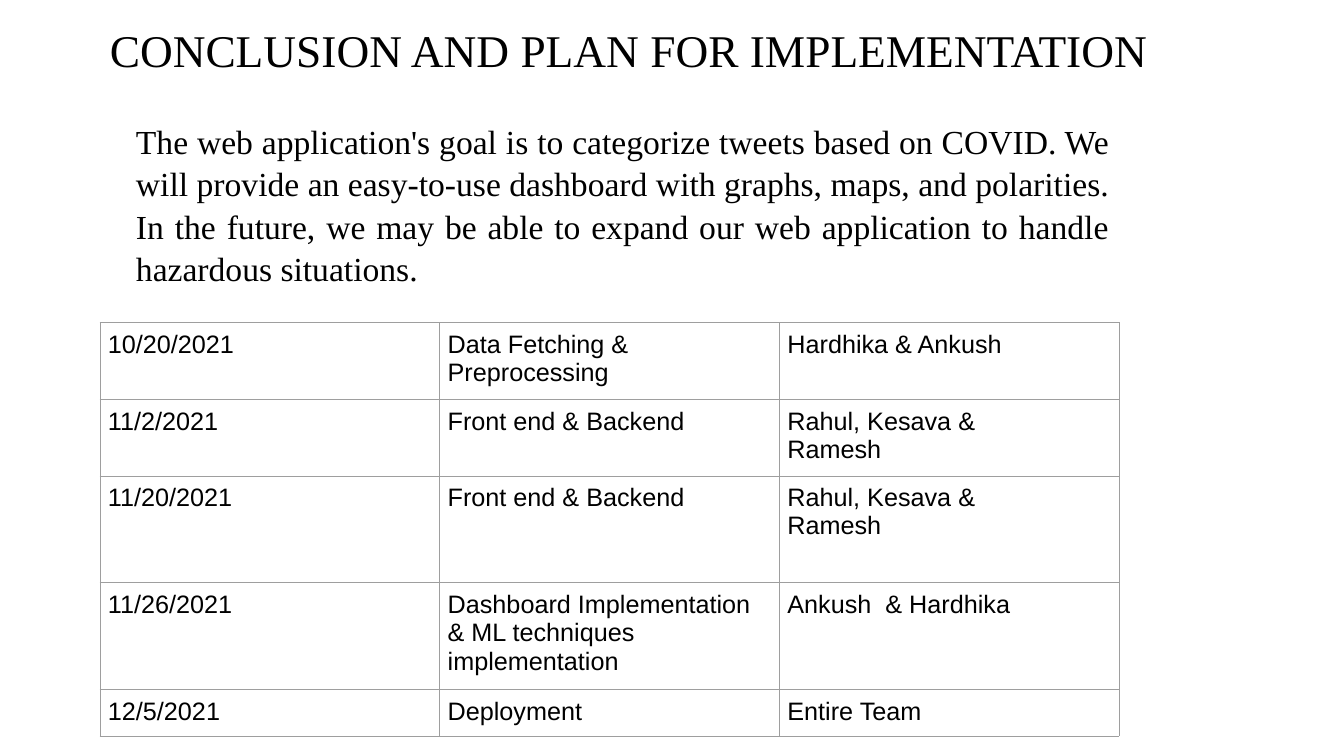
from dataclasses import dataclass

from lxml import etree
from pptx import Presentation
from pptx import util as u
from pptx.dml.color import RGBColor
from pptx.enum import text
from pptx.oxml import ns


@dataclass(frozen=True)
class Theme:
    ink: str = "000000"
    border: str = "9E9E9E"
    border_width: float = 0.6
    serif: str = "Times New Roman"
    sans: str = "Arial"
    title_size: float = 32.4
    body_size: float = 24
    cell_size: float = 18
    cell_inset: float = 0.08


@dataclass(frozen=True)
class Area:
    """Percentages of the slide's width and height."""
    left: float
    top: float
    width: float
    height: float


@dataclass(frozen=True)
class TextBlock:
    area: Area
    words: str
    size: float
    spacing: float
    align: text.PP_ALIGN
    anchor: text.MSO_ANCHOR


@dataclass(frozen=True)
class Milestone:
    height: float  # percentage of the slide's height
    date: str
    task: str
    owners: str


THEME = Theme()
SLIDE_W, SLIDE_H = u.Inches(13.33), u.Inches(7.5)

BLOCKS = [
    TextBlock(Area(7.43, 4.8, 85.75, 4.27), "CONCLUSION AND PLAN FOR IMPLEMENTATION",
              THEME.title_size, 0.9, text.PP_ALIGN.LEFT, text.MSO_ANCHOR.MIDDLE),
    TextBlock(Area(9.38, 15.07, 73.89, 22.93),
              "The web application's goal is to categorize tweets based on COVID. "
              "We will provide an easy-to-use dashboard with graphs, maps, and polarities. "
              "In the future, we may be able to expand our web application to handle "
              "hazardous situations.",
              THEME.body_size, 1.05, text.PP_ALIGN.JUSTIFY, text.MSO_ANCHOR.TOP),
]

PLAN_AREA = Area(7.43, 42.67, 75.84, 52.8)
PLAN = [
    Milestone(9.65, "10/20/2021", "Data Fetching & Preprocessing", "Hardhika & Ankush"),
    Milestone(9.65, "11/2/2021", "Front end & Backend", "Rahul, Kesava &\nRamesh"),
    Milestone(14.15, "11/20/2021", "Front end & Backend", "Rahul, Kesava &\nRamesh"),
    Milestone(13.4, "11/26/2021", "Dashboard Implementation & ML techniques implementation",
              "Ankush  & Hardhika"),
    Milestone(5.95, "12/5/2021", "Deployment", "Entire Team"),
]


def across(share: float) -> u.Emu:
    return u.Emu(round(SLIDE_W * share / 100))


def down(share: float) -> u.Emu:
    return u.Emu(round(SLIDE_H * share / 100))


def place(area: Area) -> tuple:
    return across(area.left), down(area.top), across(area.width), down(area.height)


def add_run(p, words: str, font: str, size: float) -> None:
    r = p.add_run()
    r.text = words
    r.font.name = font
    r.font.size = u.Pt(size)
    r.font.color.rgb = RGBColor.from_string(THEME.ink)


def draw_block(s, block: TextBlock) -> None:
    tf = s.shapes.add_textbox(*place(block.area)).text_frame
    tf.word_wrap = True
    tf.vertical_anchor = block.anchor
    p = tf.paragraphs[0]
    p.alignment = block.align
    p.line_spacing = block.spacing
    add_run(p, block.words, THEME.serif, block.size)


def add_borders(cell) -> None:
    props = cell._tc.get_or_add_tcPr()
    for position, side in enumerate(("lnL", "lnR", "lnT", "lnB")):
        line = etree.Element(ns.qn(f"a:{side}"), w=str(u.Pt(THEME.border_width)))
        fill = etree.SubElement(line, ns.qn("a:solidFill"))
        etree.SubElement(fill, ns.qn("a:srgbClr"), val=THEME.border)
        props.insert(position, line)


def fill_cell(cell, words: str) -> None:
    inset = u.Inches(THEME.cell_inset)
    cell.margin_left = cell.margin_right = inset
    cell.margin_top = cell.margin_bottom = inset
    cell.fill.background()
    add_borders(cell)
    tf = cell.text_frame
    for i, line in enumerate(words.split("\n")):
        p = tf.add_paragraph() if i else tf.paragraphs[0]
        add_run(p, line, THEME.sans, THEME.cell_size)


def draw_plan(s, area: Area, plan: list[Milestone]) -> None:
    table = s.shapes.add_table(len(plan), 3, *place(area)).table
    table.first_row = table.horz_banding = False
    for column in table.columns:
        column.width = across(area.width / 3)
    for i, step in enumerate(plan):
        table.rows[i].height = down(step.height)
        for j, words in enumerate((step.date, step.task, step.owners)):
            fill_cell(table.cell(i, j), words)


def main() -> None:
    prs = Presentation()
    prs.slide_width, prs.slide_height = SLIDE_W, SLIDE_H
    s = prs.slides.add_slide(prs.slide_layouts[6])

    # Title and summary
    for block in BLOCKS:
        draw_block(s, block)

    # Implementation schedule
    draw_plan(s, PLAN_AREA, PLAN)

    prs.save("out.pptx")


if __name__ == "__main__":
    main()
